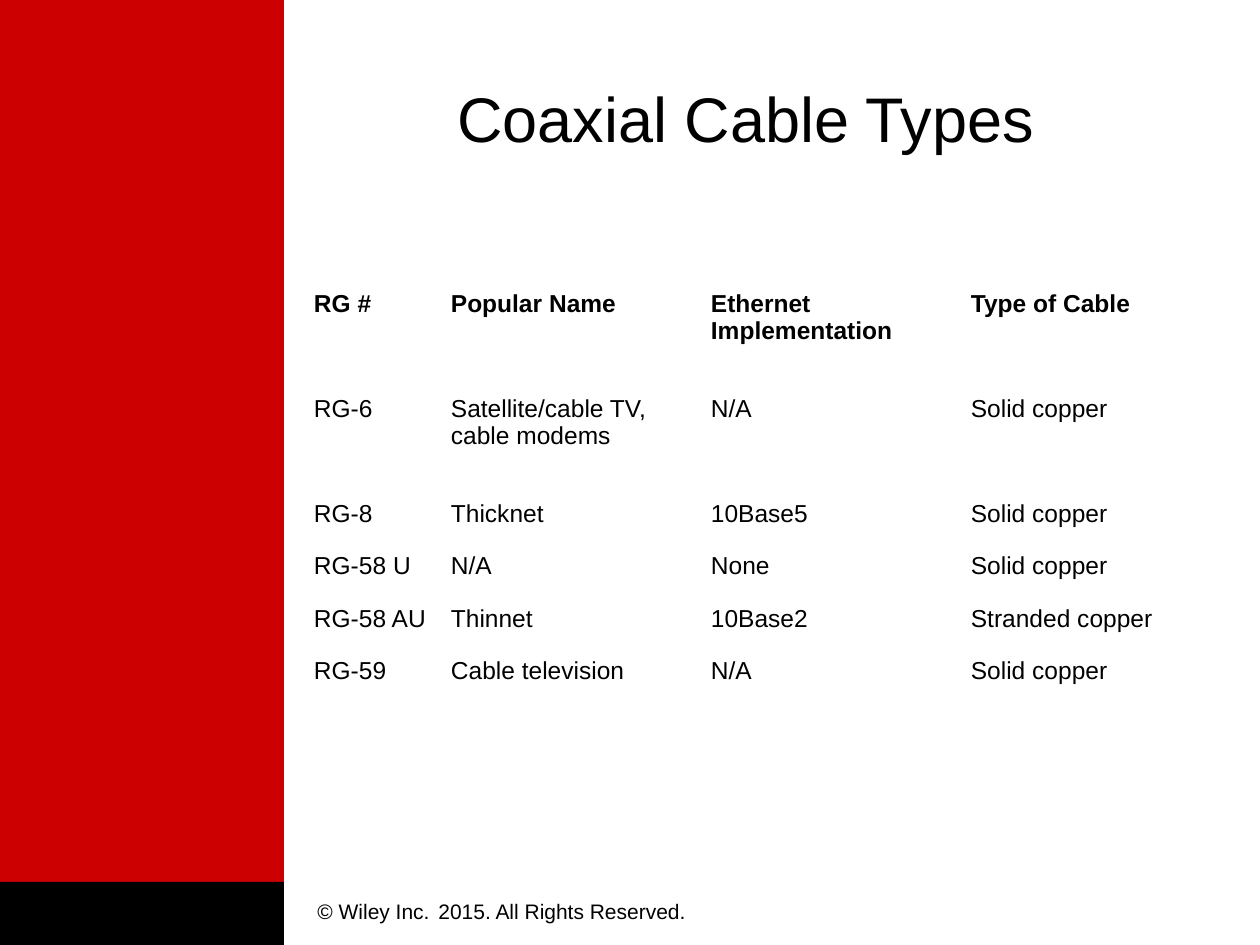
from dataclasses import dataclass

from pptx import Presentation
from pptx.dml.color import RGBColor
from pptx.enum.shapes import MSO_SHAPE
from pptx.enum.text import MSO_ANCHOR, PP_ALIGN
from pptx.util import Inches, Pt

SCALE = Inches(1) / 126  # EMU per px


@dataclass(frozen=True)
class Theme:
    font: str = "Arial"
    ink: RGBColor = RGBColor(0x00, 0x00, 0x00)
    accent: RGBColor = RGBColor(0xCC, 0x00, 0x00)
    title: int = 36
    body: int = 14
    footer: int = 12
    footer_gap: int = 18


THEME = Theme()

CABLE_ROWS = [
    ["RG #", "Popular Name", "Ethernet Implementation", "Type of Cable"],
    ["RG-6", "Satellite/cable TV, cable modems", "N/A", "Solid copper"],
    ["RG-8", "Thicknet", "10Base5", "Solid copper"],
    ["RG-58 U", "N/A", "None", "Solid copper"],
    ["RG-58 AU", "Thinnet", "10Base2", "Stranded copper"],
    ["RG-59", "Cable television", "N/A", "Solid copper"],
]


def px(length):
    return round(length * SCALE)


def set_attributes(target, values):
    for name, value in values.items():
        setattr(target, name, value)


def add_run(paragraph, text, size, bold=False):
    run = paragraph.add_run()
    run.text = text
    set_attributes(run.font, {"name": THEME.font, "size": Pt(size), "bold": bold})
    run.font.color.rgb = THEME.ink


def add_text(slide, box, runs, align=PP_ALIGN.LEFT, anchor=MSO_ANCHOR.TOP):
    frame = slide.shapes.add_textbox(*map(px, box)).text_frame
    set_attributes(frame, {"word_wrap": True, "vertical_anchor": anchor})
    paragraph = frame.paragraphs[0]
    paragraph.alignment = align
    for text, size in runs:
        add_run(paragraph, text, size)


def add_sidebar(slide, box):
    left, top, width, height = box
    foot = 63
    # Red band over the full height, black block at its foot
    for offset, part_height, color in (
        (0, height, THEME.accent),
        (height - foot, foot, THEME.ink),
    ):
        part = slide.shapes.add_shape(
            MSO_SHAPE.RECTANGLE, *map(px, (left, top + offset, width, part_height))
        )
        part.shadow.inherit = False
        part.fill.solid()
        part.fill.fore_color.rgb = color
        part.line.fill.background()


def add_title(slide, box):
    add_text(slide, box, [("Coaxial Cable Types", THEME.title)],
             PP_ALIGN.CENTER, MSO_ANCHOR.MIDDLE)


def add_footer(slide, box):
    add_text(slide, box, [
        ("© Wiley Inc.", THEME.footer),
        (" ", THEME.footer_gap),
        ("2015. All Rights Reserved.", THEME.footer),
    ])


def add_cable_table(slide, box):
    width, height = box[2:]
    first_column = 137
    other_column = (width - first_column) / 3
    row_weights = [2, 2, 1, 1, 1, 1]
    table = slide.shapes.add_table(len(CABLE_ROWS), 4, *map(px, box)).table
    set_attributes(table, {"first_row": False, "horz_banding": False})

    # Grid
    for index, column in enumerate(table.columns):
        column.width = px(other_column if index else first_column)
    for row, weight in zip(table.rows, row_weights):
        row.height = px(height * weight / sum(row_weights))

    # Cells
    cell_format = {"margin_left": px(9), "margin_right": px(9),
                   "margin_top": px(6), "margin_bottom": px(6)}
    for row_index, values in enumerate(CABLE_ROWS):
        is_header = row_index == 0
        for column_index, text in enumerate(values):
            cell = table.cell(row_index, column_index)
            set_attributes(cell, cell_format)
            cell.fill.background()
            paragraph = cell.text_frame.paragraphs[0]
            paragraph.space_after = Pt(0 if is_header else 3)
            add_run(paragraph, text, THEME.body, is_header)


def main():
    presentation = Presentation()
    set_attributes(presentation, {"slide_width": px(1260), "slide_height": px(945)})
    slide = presentation.slides.add_slide(presentation.slide_layouts[6])
    add_footer(slide, (305, 882, 410, 50))
    add_sidebar(slide, (0, 0, 284, 945))
    add_title(slide, (294, 38, 903, 158))
    add_cable_table(slide, (305, 284, 917, 420))
    presentation.save("out.pptx")


if __name__ == "__main__":
    main()
